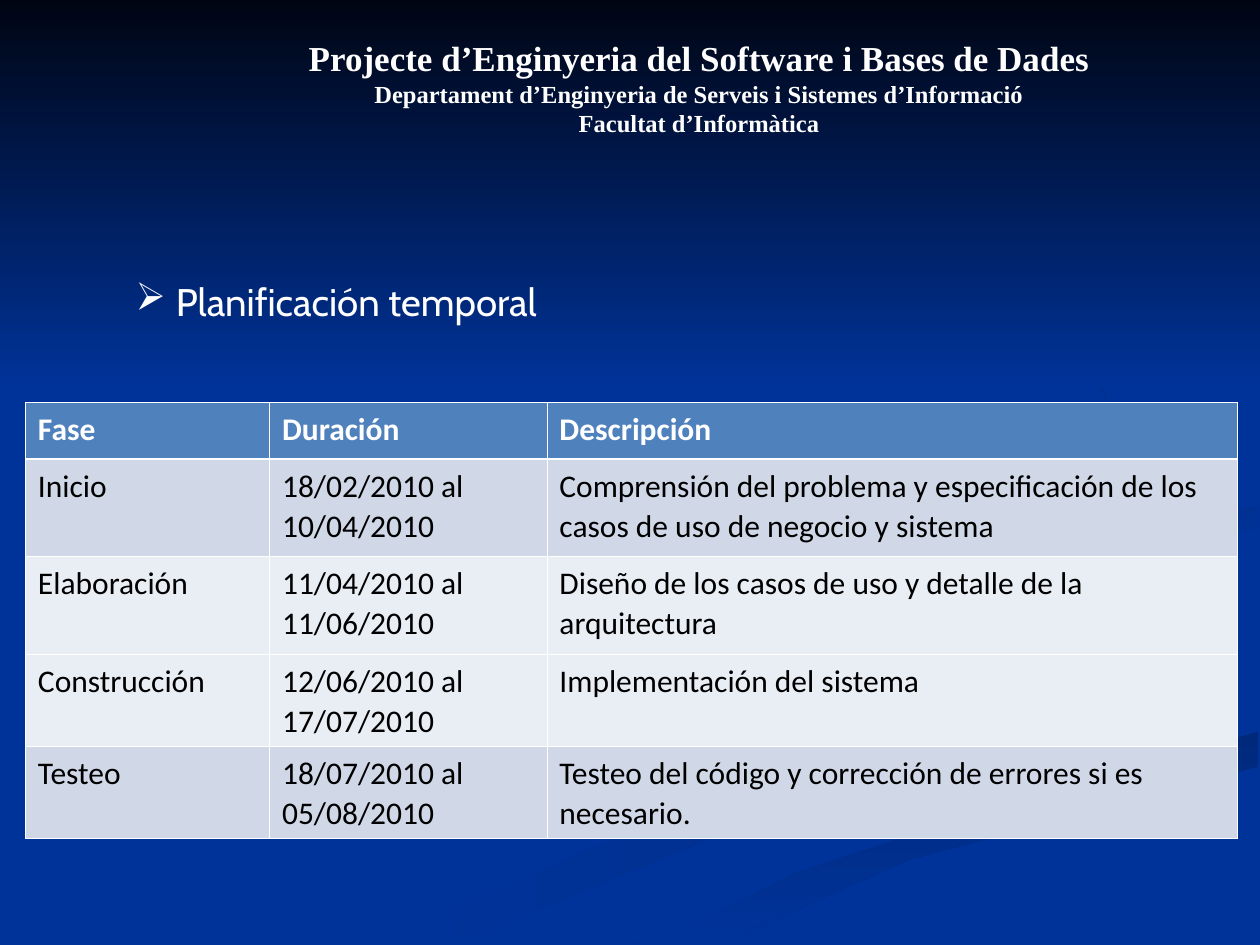
from lxml import etree
from pptx import Presentation
from pptx.dml.color import RGBColor
from pptx.enum.shapes import MSO_SHAPE
from pptx.enum.text import PP_ALIGN
from pptx.oxml.ns import qn
from pptx.util import Pt

RECT = MSO_SHAPE.RECTANGLE
LEFT, CENTER = PP_ALIGN.LEFT, PP_ALIGN.CENTER

WHITE = RGBColor.from_string("FFFFFF")
BLACK = RGBColor.from_string("000000")
BLUE = RGBColor.from_string("003399")
NIGHT = RGBColor.from_string("000514")
NAVY = RGBColor.from_string("00297C")
DEEP = RGBColor.from_string("002B81")
DUSK = RGBColor.from_string("002C85")
SHADE = RGBColor.from_string("002E8A")
HEAD = RGBColor.from_string("4F81BD")
BAND = RGBColor.from_string("D0D8E8")
PALE = RGBColor.from_string("E9EDF4")

# Edge shared by two of the ribbons
RIDGE = [(374, 538), (454, 499), (574, 459), (719, 418)]

# Ribbons: outline, first colour, last colour, counter-clockwise angle
RIBBONS = [
    ([(562, 398), (428, 349), (414, 330), (418, 348), (562, 400), (557, 420),
      (359, 476), (216, 539), (260, 539), (406, 479), (562, 436), (576, 418)],
     SHADE, BLUE, 180),
    ([(679, 410), (652, 389), (536, 353), (521, 334), (552, 369), (648, 401),
      (644, 436), (678, 418)], SHADE, BLUE, 135),
    ([(362, 539), (411, 539), (520, 491), (719, 438)] + RIDGE[::-1],
     NAVY, BLUE, 270),
    ([(522, 334), (546, 359), (662, 394), (670, 425), (477, 481), (343, 539)]
     + RIDGE + [(719, 387), (588, 354), (570, 322), (719, 289), (719, 279),
                (554, 307)], BLUE, None, 0),
    ([(562, 331), (595, 357), (588, 330), (719, 302), (719, 289), (591, 312)],
     BLUE, DUSK, 135),
    ([(492, 310), (624, 276), (644, 248), (622, 210), (549, 168), (631, 220),
      (635, 255), (436, 312), (415, 333), (448, 360), (428, 335)],
     BLUE, DEEP, 135),
]

TITLE = {"name": "Times New Roman", "size": Pt(20), "bold": True}
UNIT = {**TITLE, "size": Pt(14)}
TOPIC = {"name": "Cabin", "size": Pt(22)}
CELL = {"name": "Calibri", "size": Pt(18)}

COLS = [139.5, 158.5, 394.5]
ROWS = [32.5, 55.5, 56, 52.5, 52.5]
FILLS = [HEAD, BAND, PALE, PALE, BAND]
THIN, THICK = 0.45, 1.47
PHASES = [
    ("Fase", "Duración", "Descripción"),
    ("Inicio", "18/02/2010 al 10/04/2010",
     "Comprensión del problema y especificación de los casos de uso "
     "de negocio y sistema"),
    ("Elaboración", "11/04/2010 al 11/06/2010",
     "Diseño de los casos de uso y detalle de la arquitectura"),
    ("Construcción", "12/06/2010 al 17/07/2010", "Implementación del sistema"),
    ("Testeo", "18/07/2010 al 05/08/2010",
     "Testeo del código y corrección de errores si es necesario."),
]


def paint(shape, first, last, angle):
    shape.shadow.inherit = False
    shape.line.fill.background()
    if last is None:
        shape.fill.solid()
        shape.fill.fore_color.rgb = first
        return
    shape.fill.gradient()
    shape.fill.gradient_angle = angle
    for stop, tone in zip(shape.fill.gradient_stops, (first, last)):
        stop.color.rgb = tone


def add_ribbon(slide, dots, first, last, angle):
    dots = [(Pt(x), Pt(y)) for x, y in dots]
    pen = slide.shapes.build_freeform(*dots[0])
    pen.add_line_segments(dots[1:], close=True)
    paint(pen.convert_to_shape(), first, last, angle)


def write(para, text, style, tone=WHITE):
    run = para.add_run()
    run.text = text
    for key, value in style.items():
        setattr(run.font, key, value)
    run.font.color.rgb = tone


def add_text(slide, box, lines, align):
    frame = slide.shapes.add_textbox(*map(Pt, box)).text_frame
    frame.word_wrap = True
    for i, (text, style) in enumerate(lines):
        para = frame.add_paragraph() if i else frame.paragraphs[0]
        para.alignment = align
        write(para, text, style)
    return frame


def add_bullet(para, mark, indent):
    props = para._p.get_or_add_pPr()
    props.set("marL", str(Pt(indent)))
    props.set("indent", str(-Pt(indent)))
    tone = etree.SubElement(props, qn("a:buClr"))
    etree.SubElement(tone, qn("a:srgbClr"), val=str(WHITE))
    etree.SubElement(props, qn("a:buChar"), char=mark)


def add_edges(cell, widths):
    props = cell._tc.get_or_add_tcPr()
    for side, width in widths.items():
        line = etree.SubElement(props, qn("a:ln" + side), w=str(Pt(width)))
        fill = etree.SubElement(line, qn("a:solidFill"))
        etree.SubElement(fill, qn("a:srgbClr"), val=str(WHITE))


def add_plan(slide, left, top):
    size = map(Pt, (left, top, sum(COLS), sum(ROWS)))
    table = slide.shapes.add_table(len(ROWS), len(COLS), *size).table
    for col, width in zip(table.columns, COLS):
        col.width = Pt(width)
    for r, texts in enumerate(PHASES):
        table.rows[r].height = Pt(ROWS[r])
        style = {**CELL, "bold": r == 0}
        edges = {"L": THIN, "R": THIN, "T": THICK if r == 1 else THIN,
                 "B": THIN if r else THICK}
        for c, text in enumerate(texts):
            cell = table.cell(r, c)
            add_edges(cell, edges)
            cell.fill.solid()
            cell.fill.fore_color.rgb = FILLS[r]
            para = cell.text_frame.paragraphs[0]
            para.line_spacing = 1.04
            write(para, text, style, BLACK if r else WHITE)


def main():
    deck = Presentation()
    deck.slide_width, deck.slide_height = Pt(720), Pt(540)
    slide = deck.slides.add_slide(deck.slide_layouts[6])

    # Backdrop: ribbons, then the dark fade at the top
    slide.background.fill.solid()
    slide.background.fill.fore_color.rgb = BLUE
    for ribbon in RIBBONS:
        add_ribbon(slide, *ribbon)
    fade = slide.shapes.add_shape(RECT, 0, 0, Pt(720), Pt(222))
    paint(fade, NIGHT, BLUE, 270)

    # Topic line
    topic = add_text(slide, (70.5, 155.5, 581, 29),
                     [("Planificación temporal", TOPIC)], LEFT)
    add_bullet(topic.paragraphs[0], "➢", 23)

    # Schedule
    add_plan(slide, 14.5, 230)

    # Heading
    add_text(slide, (163.5, 17.5, 472, 56), [
        ("Projecte d’Enginyeria del Software i Bases de Dades", TITLE),
        ("Departament d’Enginyeria de Serveis i Sistemes d’Informació", UNIT),
        ("Facultat d’Informàtica", UNIT),
    ], CENTER)

    deck.save("out.pptx")


if __name__ == "__main__":
    main()
